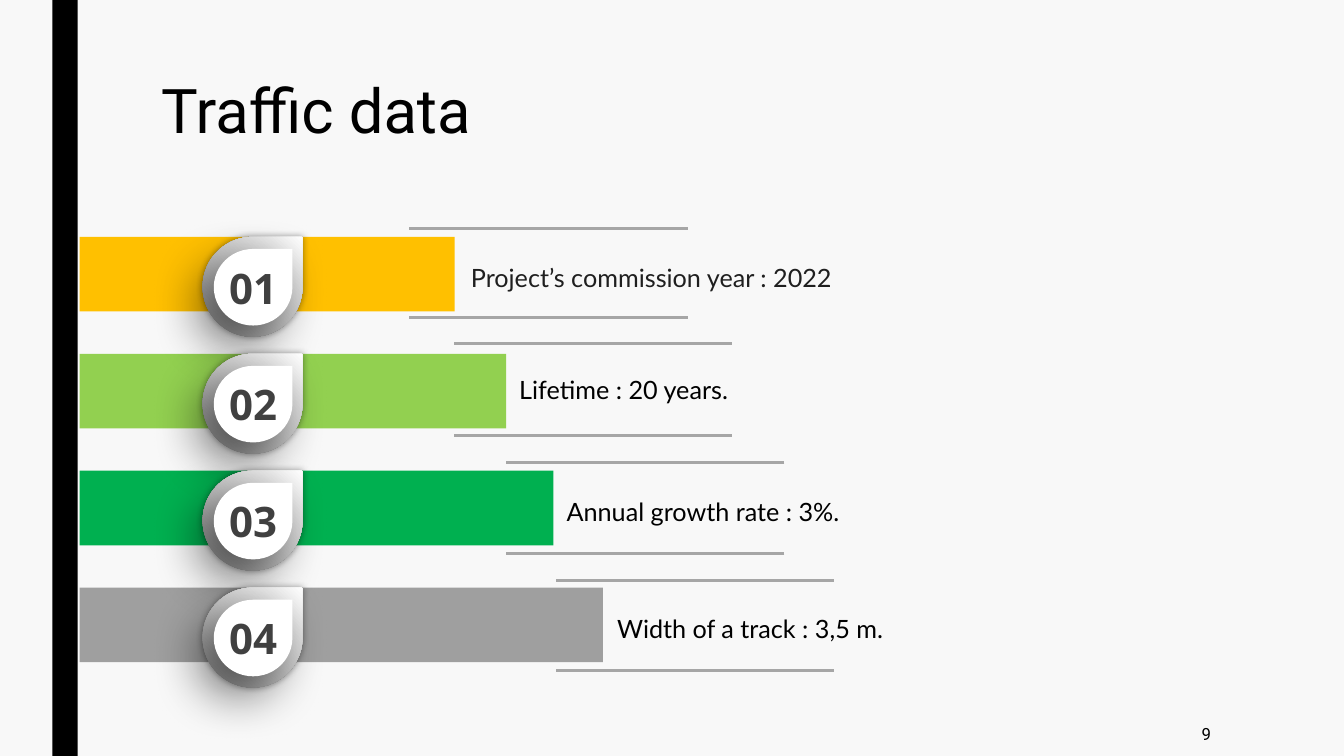
from lxml import etree
from pptx import Presentation
from pptx.dml.color import RGBColor
from pptx.enum import shapes, text
from pptx.oxml import ns
from pptx.util import Inches, Pt

BLACK = RGBColor(0x00, 0x00, 0x00)
WHITE = RGBColor(0xFF, 0xFF, 0xFF)
PAPER = RGBColor(0xF8, 0xF8, 0xF8)
INK = RGBColor(0x1F, 0x1F, 0x1F)
DARK = RGBColor(0x40, 0x40, 0x40)
RULE = RGBColor(0xA6, 0xA6, 0xA6)
SHADE = RGBColor(0x96, 0x96, 0x96)
GOLD = RGBColor(0xFF, 0xC0, 0x00)
LIME = RGBColor(0x92, 0xD0, 0x50)
GREEN = RGBColor(0x00, 0xB0, 0x50)
GRAY = RGBColor(0x9F, 0x9F, 0x9F)

LEFT, TOP, STEP = 0.79, 2.35, 1.16
HEIGHT, RULE_LEN = 0.74, 2.76

# Bar colour, bar width, rule left, rule tops, label (left, top, width), words, ink
ROWS = [
    (GOLD, 3.72, 4.06, (2.27, 3.15), (4.54, 2.46, 4.21),
     "Project’s commission year : 2022", INK),
    (LIME, 4.23, 4.5, (3.41, 4.32), (5.02, 3.57, 3.53),
     "Lifetime : 20 years.", BLACK),
    (GREEN, 4.7, 5.02, (4.59, 5.49), (5.49, 4.78, 7.58),
     "Annual growth rate : 3%.", BLACK),
    (GRAY, 5.19, 5.51, (5.76, 6.65), (5.99, 5.94, 5.74),
     "Width of a track : 3,5 m.", BLACK),
]


def add_solid(parent, kind, box, color):
    shape = parent.add_shape(kind, *map(Inches, box))
    shape.shadow.inherit = False
    shape.fill.solid()
    shape.fill.fore_color.rgb = color
    shape.line.fill.background()
    return shape


def add_shadow(shape, alpha, blur, dist, angle):
    """Cast a black shadow: alpha in percent, blur and dist in points."""
    effects = shape._element.spPr.find(ns.qn("a:effectLst"))
    outer = etree.SubElement(
        effects, ns.qn("a:outerShdw"), blurRad=str(Pt(blur)),
        dist=str(Pt(dist)), dir=str(angle * 60000), algn="ctr",
        rotWithShape="0")
    color = etree.SubElement(outer, ns.qn("a:srgbClr"), val=str(BLACK))
    etree.SubElement(color, ns.qn("a:alpha"), val=str(alpha * 1000))


def write(shape, words, font, size, color, align=text.PP_ALIGN.LEFT,
          bold=False, spacing=None):
    para = shape.text_frame.paragraphs[0]
    para.alignment = align
    para.line_spacing = spacing
    run = para.add_run()
    run.text = words
    run.font.name = font
    run.font.size = Pt(size)
    run.font.bold = bold
    run.font.color.rgb = color


def set_insets(frame, side, edge):
    frame.margin_left = frame.margin_right = Inches(side)
    frame.margin_top = frame.margin_bottom = Inches(edge)


def add_text(slide, box, *args, **style):
    shape = slide.shapes.add_textbox(*map(Inches, box))
    shape.text_frame.word_wrap = True
    write(shape, *args, **style)
    return shape.text_frame


def add_pin(slide, top, label):
    """Add a numbered drop: a shaded rim with a white face."""
    drop = shapes.MSO_SHAPE.TEAR
    group = slide.shapes.add_group_shape()
    rim = add_solid(group.shapes, drop, (2.01, top, 0.99, 0.99), WHITE)
    rim.fill.gradient()
    rim.fill.gradient_angle = 45
    for stop, color in zip(rim.fill.gradient_stops, (SHADE, WHITE)):
        stop.color.rgb = color
    add_shadow(rim, 40, 5, 0, 0)
    face = add_solid(group.shapes, drop, (2.12, top + 0.12, 0.78, 0.76), WHITE)
    add_shadow(face, 60, 37, 16, 130)
    frame = face.text_frame
    set_insets(frame, 0, 0.05)
    frame.word_wrap = False
    frame.vertical_anchor = text.MSO_ANCHOR.MIDDLE
    write(face, label, "Open Sans", 30, DARK, text.PP_ALIGN.CENTER, True)


def add_rule(slide, left, top):
    line = slide.shapes.add_connector(
        shapes.MSO_CONNECTOR.STRAIGHT, Inches(left + RULE_LEN), Inches(top),
        Inches(left), Inches(top))
    line.line.color.rgb = RULE
    line.line.width = Pt(2.25)
    etree.SubElement(line._element.spPr, ns.qn("a:effectLst"))


def add_label(slide, place, words, color):
    frame = add_text(slide, (*place, 0.51), words, "Lato", 18, color,
                     spacing=1.25)
    set_insets(frame, 0.13, 0.07)
    frame.auto_size = text.MSO_AUTO_SIZE.SHAPE_TO_FIT_TEXT


def main():
    deck = Presentation()
    deck.slide_width, deck.slide_height = Inches(13.33), Inches(7.5)
    slide = deck.slides.add_slide(deck.slide_layouts[6])
    slide.background.fill.solid()
    slide.background.fill.fore_color.rgb = PAPER

    rect = shapes.MSO_SHAPE.RECTANGLE
    add_solid(slide.shapes, rect, (0.52, 0, 0.25, 7.5), BLACK)
    add_text(slide, (1.5, 0.75, 10.5, 1.62), "Traffic data", "Roboto", 44,
             BLACK, spacing=0.89)
    number = add_text(slide, (10.36, 7.06, 1.75, 0.44), "9", "Roboto", 12,
                      BLACK, align=text.PP_ALIGN.RIGHT)
    number.vertical_anchor = text.MSO_ANCHOR.MIDDLE

    tops = [TOP + STEP * i for i in range(len(ROWS))]
    for top, row in zip(tops, ROWS):
        add_solid(slide.shapes, rect, (LEFT, top, row[1], HEIGHT), row[0])
    for i, top in enumerate(tops, 1):
        add_pin(slide, top, f"{i:02}")
    for _, _, left, rules, place, words, color in ROWS:
        for y in rules:
            add_rule(slide, left, y)
        add_label(slide, place, words, color)
    deck.save("out.pptx")


if __name__ == "__main__":
    main()
